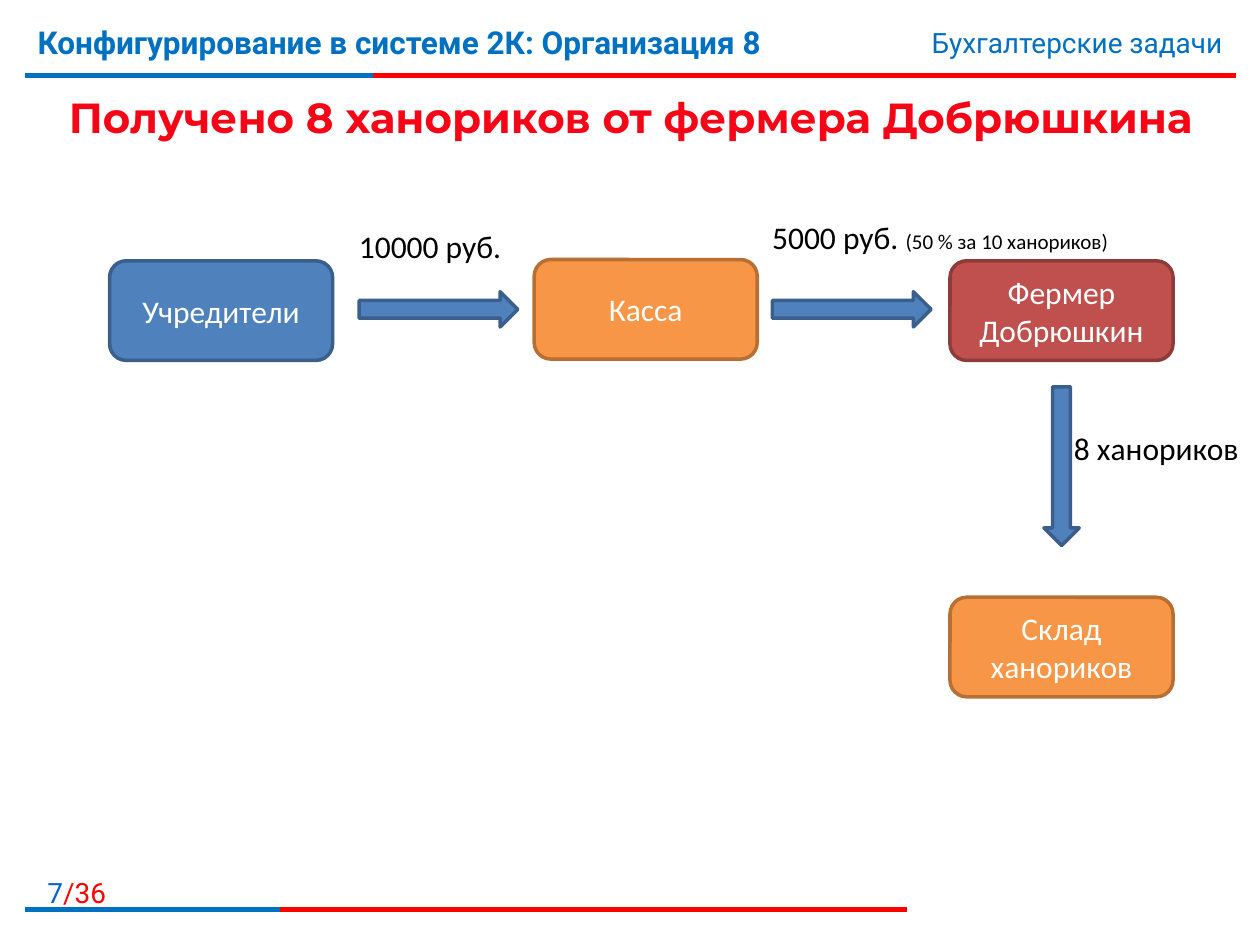
import dataclasses

import pptx
import pptx.dml.color
import pptx.enum.shapes
import pptx.enum.text
import pptx.oxml
import pptx.oxml.ns
import pptx.util

SHAPES = pptx.enum.shapes.MSO_SHAPE
ALIGN = pptx.enum.text.PP_ALIGN
ANCHOR = pptx.enum.text.MSO_ANCHOR


@dataclasses.dataclass(frozen=True)
class Theme:
    """Colours, fonts and sizes of the slide."""
    blue: str = "0070C0"
    number_blue: str = "0066CC"
    red: str = "FF0000"
    title_red: str = "F50516"
    black: str = "000000"
    white: str = "FFFFFF"
    founder: tuple = ("4F81BD", "3A5F8C")
    store: tuple = ("F79646", "B76F34")
    farmer: tuple = ("C0504D", "8E3B39")
    body_font: str = "Calibri"
    frame_font: str = "Roboto"
    title_font: str = "Montserrat"
    title: int = 24
    body: int = 18
    small: int = 16
    note: int = 12
    rule: int = 3
    outline: int = 2


THEME = Theme()
COLUMNS, ROWS = 100, 75
presentation = pptx.Presentation()
presentation.slide_width = pptx.util.Inches(10)
presentation.slide_height = pptx.util.Inches(7.5)
slide = presentation.slides.add_slide(presentation.slide_layouts[6])


def place(left, top, width, height):
    """Turn grid columns and rows into slide lengths."""
    across = presentation.slide_width / COLUMNS
    down = presentation.slide_height / ROWS
    return [round(value) for value in (left * across, top * down, width * across, height * down)]


def rgb(colour):
    """Return a colour object for a hex string."""
    return pptx.dml.color.RGBColor.from_string(colour)


def write(frame, runs, align=ALIGN.LEFT, anchor=ANCHOR.TOP):
    """Write one paragraph of (text, size, colour, font, bold) runs."""
    frame.word_wrap = True
    frame.vertical_anchor = anchor
    paragraph = frame.paragraphs[0]
    paragraph.alignment = align
    for text, size, colour, name, bold in runs:
        run = paragraph.add_run()
        run.text = text
        for attribute, value in {"size": pptx.util.Pt(size), "name": name, "bold": bold}.items():
            setattr(run.font, attribute, value)
        run.font.color.rgb = rgb(colour)


def label(box, runs, **layout):
    """Add a text box on the grid."""
    write(slide.shapes.add_textbox(*place(*box)).text_frame, runs, **layout)


def block(kind, box, colours, text=""):
    """Add a filled and outlined shape with centred text."""
    shape = slide.shapes.add_shape(kind, *place(*box))
    shape.shadow.inherit = False
    fill, outline = colours
    shape.fill.solid()
    shape.fill.fore_color.rgb = rgb(fill)
    shape.line.color.rgb = rgb(outline)
    shape.line.width = pptx.util.Pt(THEME.outline)
    if text:
        runs = [(text, THEME.body, THEME.white, THEME.body_font, False)]
        write(shape.text_frame, runs, ALIGN.CENTER, ANCHOR.MIDDLE)


def rule(left, top, width, blue_width):
    """Draw a red rule whose first part is blue."""
    for length, colour in ((width, THEME.red), (blue_width, THEME.blue)):
        x, y, span, _ = place(left, top, length, 0)
        line = slide.shapes.add_connector(pptx.enum.shapes.MSO_CONNECTOR.STRAIGHT, x, y, x + span, y)
        line.line.color.rgb = rgb(colour)
        line.line.width = pptx.util.Pt(THEME.rule)
        properties = line._element.find(pptx.oxml.ns.qn("p:spPr"))
        properties.append(pptx.oxml.parse_xml(f"<a:effectLst {pptx.oxml.ns.nsdecls('a')}/>"))


def header(left, top, width):
    """Draw the course name, the topic, the rule and the slide title."""
    rule(left, top + 4.7, width, 27.6)
    course = "Конфигурирование в системе 2К: Организация 8"
    label((left, top, 74, 6.2), [(course, THEME.body, THEME.blue, THEME.frame_font, True)])
    topic = [("Бухгалтерские задачи", THEME.small, THEME.blue, THEME.frame_font, False)]
    label((left + width - 38.7, top + 0.2, 38.6, 3.7), topic, align=ALIGN.RIGHT)
    title = "Получено 8 ханориков от фермера Добрюшкина"
    label((left, top + 5, width, 6), [(title, THEME.title, THEME.title_red, THEME.title_font, True)],
          align=ALIGN.CENTER, anchor=ANCHOR.MIDDLE)


def footer(left, top, width):
    """Draw the page count above the lower rule."""
    rule(left, top + 3.2, width, 20.2)
    label((0, top, 9.4, 3.2), [("7", THEME.small, THEME.number_blue, THEME.frame_font, False),
                               ("/36", THEME.small, THEME.red, THEME.frame_font, False)],
          align=ALIGN.RIGHT)


def flow(left, top):
    """Draw the chain of parties, the arrows and their amounts."""
    node_width, node_height = 17.7, 7.9
    arrow_length, arrow_width = 12.6, 2.8
    farmer_left = left + 66.7
    nodes = (
        (left, top, THEME.founder, "Учредители"),
        (left + 33.7, top - 0.1, THEME.store, "Касса"),
        (farmer_left, top, THEME.farmer, "Фермер Добрюшкин"),
        (farmer_left, top + 26.7, THEME.store, "Склад ханориков"),
    )
    for x, y, colours, text in nodes:
        block(SHAPES.ROUNDED_RECTANGLE, (x, y, node_width, node_height), colours, text)
    arrow_top = top + (node_height - arrow_width) / 2 - 0.1
    for x in (left + 19.8, left + 52.6):
        block(SHAPES.RIGHT_ARROW, (x, arrow_top, arrow_length, arrow_width), THEME.founder)
    down_left = farmer_left + (node_width - arrow_width) / 2
    block(SHAPES.DOWN_ARROW, (down_left, top + 10, arrow_width, arrow_length), THEME.founder)
    amounts = (
        (left + 18.8, top - 3.2, 13.8, "10000 руб.", ""),
        (left + 51.6, top - 3.9, 37.9, "5000 руб. ", "(50 % за 10 ханориков)"),
        (down_left + 1.4, top + 12.9, 15.7, "8 ханориков", ""),
    )
    for x, y, width, amount, note in amounts:
        parts = ((amount, THEME.body), (note, THEME.note))
        label((x, y, width, 4), [(text, size, THEME.black, THEME.body_font, False)
                                 for text, size in parts if text])


header(2, 1.3, 96.1)
flow(8.7, 20.7)
footer(2, 69, 70)
presentation.save("out.pptx")
